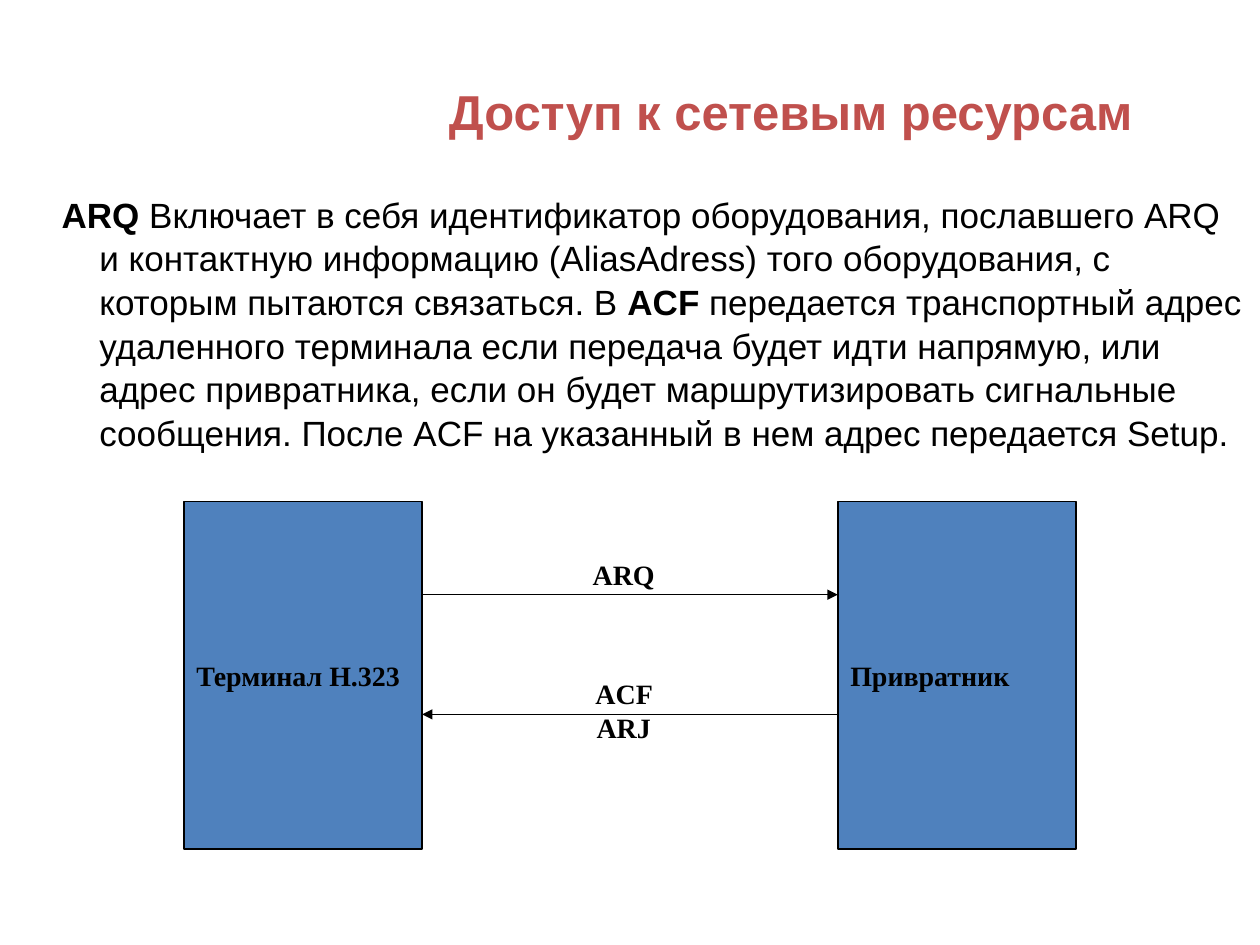
from lxml import etree
from pptx import Presentation
from pptx.dml.color import RGBColor
from pptx.enum.shapes import MSO_CONNECTOR, MSO_SHAPE
from pptx.enum.text import MSO_ANCHOR, PP_ALIGN
from pptx.oxml.ns import qn
from pptx.util import Inches, Pt

LINE = MSO_CONNECTOR.STRAIGHT
RECT = MSO_SHAPE.RECTANGLE
TOP, MIDDLE = MSO_ANCHOR.TOP, MSO_ANCHOR.MIDDLE
LEFT, CENTER = PP_ALIGN.LEFT, PP_ALIGN.CENTER

COLORS = {"title": "C0504D", "node": "4F81BD", "ink": "000000"}
SANS, SERIF = "Arial", "Times New Roman"

BODY = [
    ("ARQ ", True),
    ("Включает в себя идентификатор оборудования, пославшего ARQ и контактную "
     "информацию (AliasAdress) того оборудования, с которым пытаются связаться. В ", False),
    ("ACF ", True),
    ("передается транспортный адрес удаленного терминала если передача будет идти "
     "напрямую, или адрес привратника, если он будет маршрутизировать сигнальные "
     "сообщения. После ACF на указанный в нем адрес передается Setup.", False),
]


def color(key):
    return RGBColor.from_string(COLORS[key])


def inches(box):
    return [Inches(v) for v in box]


def style(para, face, size, key="ink", bold=None, align=LEFT):
    para.alignment = align
    para.font.name = face
    para.font.size = Pt(size)
    para.font.bold = bold
    para.font.color.rgb = color(key)


def add_title(slide, box):
    title = slide.shapes.title
    title.left, title.top, title.width, title.height = inches(box)
    frame = title.text_frame
    frame.text = "Доступ к сетевым ресурсам"
    frame.vertical_anchor = TOP
    style(frame.paragraphs[0], SANS, 28, "title", True, CENTER)


def add_body(slide, box):
    frame = slide.shapes.add_textbox(*inches(box)).text_frame
    frame.word_wrap = True
    para = frame.paragraphs[0]
    props = para._p.get_or_add_pPr()
    props.set("marL", str(Inches(0.49)))
    props.set("indent", str(Inches(-0.3)))
    style(para, SANS, 20)
    para.line_spacing = 1.04
    for text, bold in BODY:
        run = para.add_run()
        run.text = text
        run.font.bold = bold


def add_node(slide, box, text):
    node = slide.shapes.add_shape(RECT, *inches(box))
    node.shadow.inherit = False
    node.fill.solid()
    node.fill.fore_color.rgb = color("node")
    node.line.color.rgb = color("ink")
    node.line.width = Pt(0.75)
    frame = node.text_frame
    frame.word_wrap = False
    frame.vertical_anchor = MIDDLE
    frame.text = text
    style(frame.paragraphs[0], SERIF, 16, bold=True)


def add_arrow(slide, start, end, y):
    arrow = slide.shapes.add_connector(LINE, *inches((start, y, end, y)))
    arrow.line.color.rgb = color("ink")
    arrow.line.width = Pt(0.75)
    tail = etree.SubElement(arrow.line._get_or_add_ln(), qn("a:tailEnd"))
    tail.set("type", "triangle")
    etree.SubElement(arrow._element.spPr, qn("a:effectLst"))


def add_label(slide, box, text):
    frame = slide.shapes.add_textbox(*inches(box)).text_frame
    frame.word_wrap = True
    frame.text = text
    style(frame.paragraphs[0], SERIF, 16, bold=True, align=CENTER)


def add_scheme(slide, box):
    left, top, width, height = box
    node = 1.89
    near, far = left + node, left + width - node
    add_node(slide, (left, top, node, height), "Терминал H.323")
    add_node(slide, (far, top, node, height), "Привратник")
    add_arrow(slide, near, far, top + 0.74)
    add_arrow(slide, far, near, top + 1.69)
    mid = (near + far) / 2 - 0.05
    add_label(slide, (mid - 0.45, top + 0.4, 0.9, 0.37), "ARQ")
    add_label(slide, (mid - 0.45, top + 1.34, 0.9, 0.64), "ACF ARJ")


def main():
    deck = Presentation()
    deck.slide_width, deck.slide_height = Inches(10), Inches(7.5)
    slide = deck.slides.add_slide(deck.slide_layouts[5])
    add_title(slide, (2.87, 0.6, 6.81, 0.54))
    add_body(slide, (0.2, 1.47, 9.8, 2.44))
    add_scheme(slide, (1.46, 3.98, 7.08, 2.76))
    deck.save("out.pptx")


if __name__ == "__main__":
    main()
